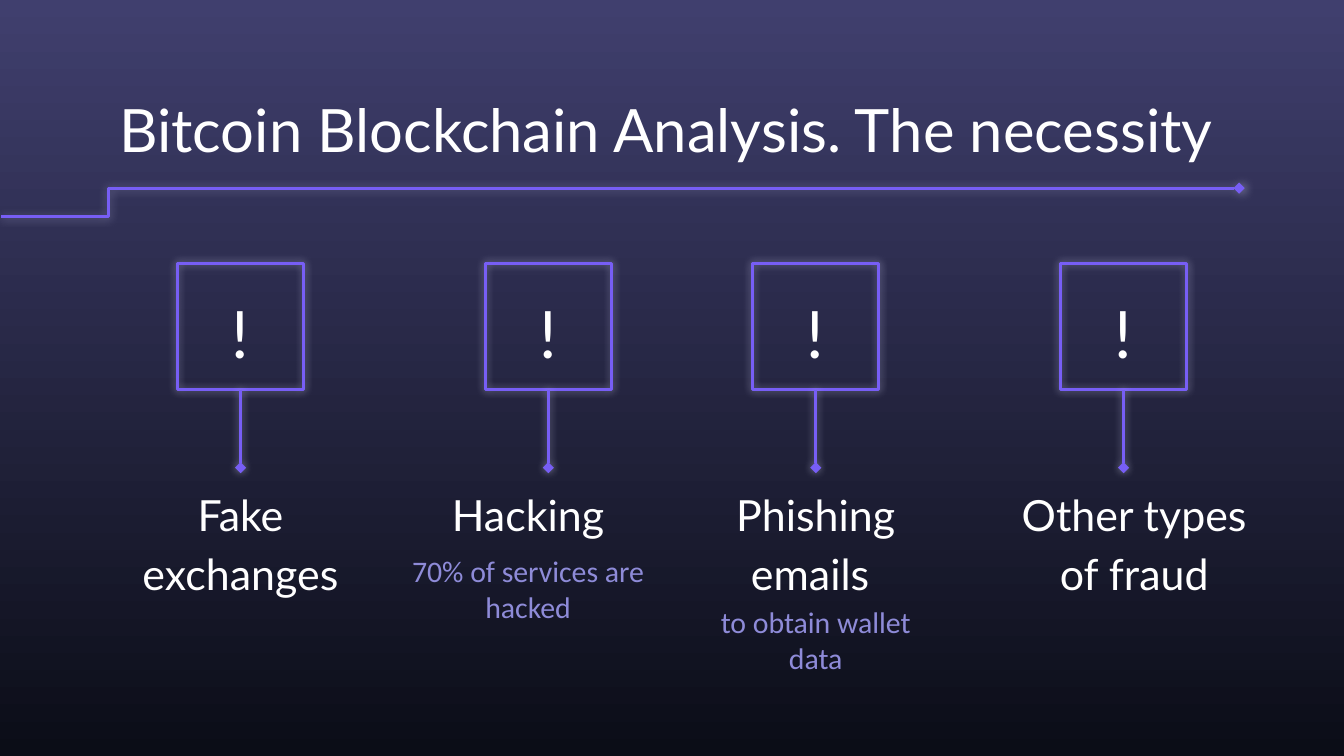
from lxml.etree import SubElement
from pptx import Presentation
from pptx.dml.color import RGBColor
from pptx.enum.shapes import MSO_CONNECTOR as Connector, MSO_SHAPE as Shape
from pptx.enum.text import MSO_ANCHOR as Anchor, PP_ALIGN as Align
from pptx.oxml.ns import qn
from pptx.util import Inches, Pt

# Content: center of the column, label, left of the label, note, top of the note
TITLE = "Bitcoin Blockchain Analysis. The necessity"
THREATS = [
    (1.79, "Fake exchanges", 0.79, None, None),
    (4.08, "Hacking", 2.93, "70% of services are hacked", 4.01),
    (6.07, "Phishing emails ", 5.07, "to obtain wallet data", 4.39),
    (8.36, "Other types of fraud", 7.44, None, None),
]
TITLE_RULE = [(0.01, 1.61), (0.81, 1.61), (0.81, 1.4), (9.22, 1.4)]

THEME = {
    "top": "403F6E", "bottom": "0B0D17", "line": "775EF5", "glow": "DFDEFF",
    "text": "FFFFFF", "note": "8E8BD8",
    "font": "Lato", "note_font": "Calibri",
    "title_size": 32, "label_size": 23, "note_size": 16, "mark_size": 35,
}
COLUMN = 2
SQUARE, SQUARE_TOP, STEM_END = 0.94, 1.96, 3.48


def color(name):
    return RGBColor.from_string(THEME[name])


def add_text(slide, text, left, top, width, height, size, *, font="font",
             ink="text", align=Align.CENTER, spacing=None, anchor=Anchor.TOP):
    box = slide.shapes.add_textbox(*map(Inches, (left, top, width, height)))
    frame = box.text_frame
    frame.word_wrap = True
    frame.vertical_anchor = anchor
    frame.margin_left = frame.margin_right = Inches(0.1)
    frame.margin_top = frame.margin_bottom = Inches(0.1)
    frame.text = text
    para = frame.paragraphs[0]
    para.alignment = align
    para.line_spacing = spacing
    span = para.runs[0]
    span.font.name = THEME[font]
    span.font.size = Pt(THEME[size])
    span.font.color.rgb = color(ink)


def style_neon(shape, diamond=False):
    """Violet outline with a soft glow, and a diamond at the end if asked."""
    shape.line.color.rgb = color("line")
    shape.line.width = Pt(1.5)
    properties = shape._element.spPr
    if diamond:
        SubElement(properties.find(qn("a:ln")), qn("a:tailEnd"), type="diamond")
    effects = SubElement(properties, qn("a:effectLst"))
    shadow = SubElement(effects, qn("a:outerShdw"), blurRad=str(Pt(4.5)),
                        dist="0", dir="0", algn="ctr", rotWithShape="0")
    tint = SubElement(shadow, qn("a:srgbClr"), val=THEME["glow"])
    SubElement(tint, qn("a:alpha"), val="50000")


def add_threat(slide, center, label, label_left, note, note_top):
    left = center - COLUMN / 2
    # Warning mark in a square
    add_text(slide, "!", left, 2.2, COLUMN, 0.46, "mark_size",
             spacing=1.15, anchor=Anchor.MIDDLE)
    square = slide.shapes.add_shape(
        Shape.RECTANGLE, Inches(center - SQUARE / 2), Inches(SQUARE_TOP),
        Inches(SQUARE), Inches(SQUARE))
    square.fill.background()
    style_neon(square)
    # Stem down to the label
    stem = slide.shapes.add_connector(
        Connector.STRAIGHT, Inches(center), Inches(SQUARE_TOP + SQUARE),
        Inches(center), Inches(STEM_END))
    style_neon(stem, diamond=True)
    # Label and optional note
    add_text(slide, label, label_left, STEM_END, COLUMN, 0.46, "label_size",
             spacing=1.15)
    if note:
        add_text(slide, note, label_left, note_top, COLUMN, 1.02, "note_size",
                 font="note_font", ink="note")


def main():
    deck = Presentation()
    # Widescreen, 16 by 9
    deck.slide_width, deck.slide_height = Inches(10), Inches(10 * 9 / 16)
    page = deck.slides.add_slide(deck.slide_layouts[6])

    # Background gradient, top to bottom
    fill = page.background.fill
    fill.gradient()
    fill.gradient_angle = 270
    for stop, name, position in zip(fill.gradient_stops, ("top", "bottom"), (0, 1)):
        stop.color.rgb = color(name)
        stop.position = position

    # Title and its stepped rule
    start, *rest = [(Inches(x), Inches(y)) for x, y in TITLE_RULE]
    builder = page.shapes.build_freeform(*start)
    builder.add_line_segments(rest, close=False)
    rule = builder.convert_to_shape()
    rule.fill.background()
    style_neon(rule, diamond=True)
    add_text(page, TITLE, 0.79, 0.59, 8.43, 0.63, "title_size", align=Align.LEFT)

    # Four threats
    for threat in THREATS:
        add_threat(page, *threat)

    deck.save("out.pptx")


if __name__ == "__main__":
    main()
